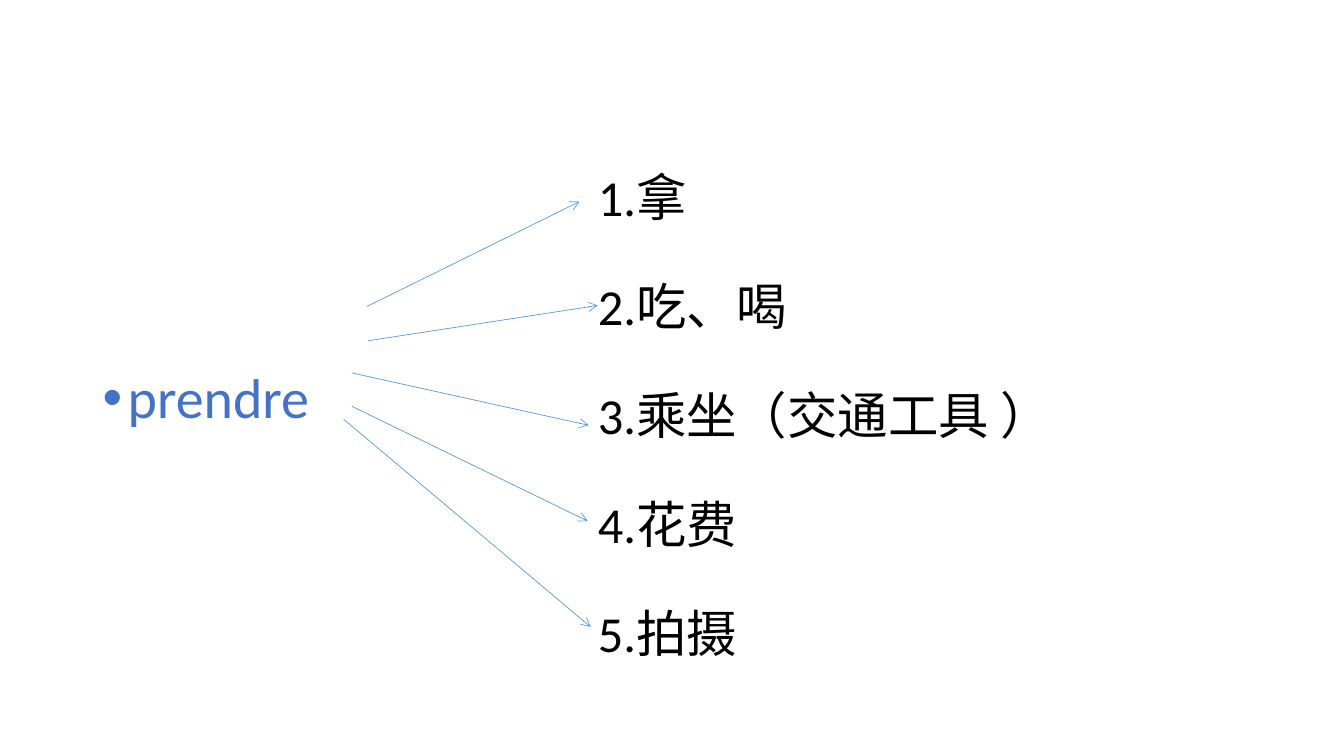
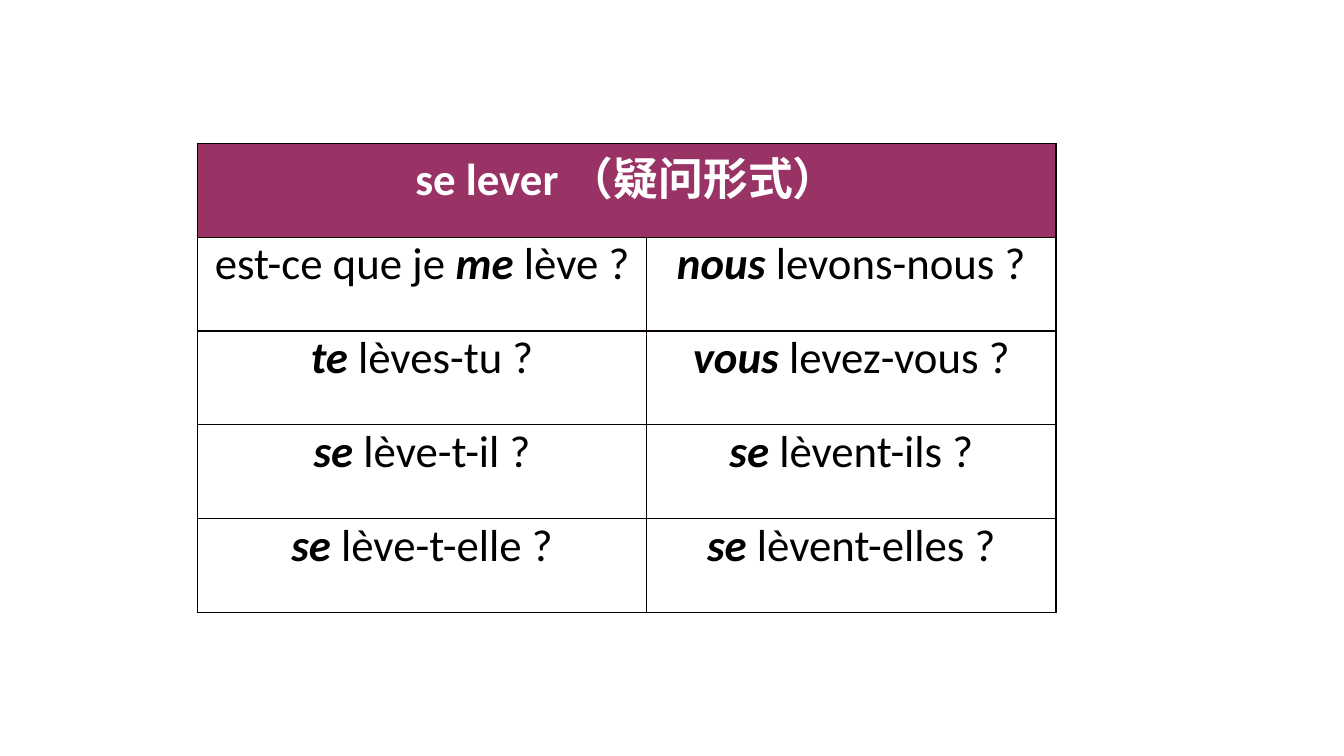
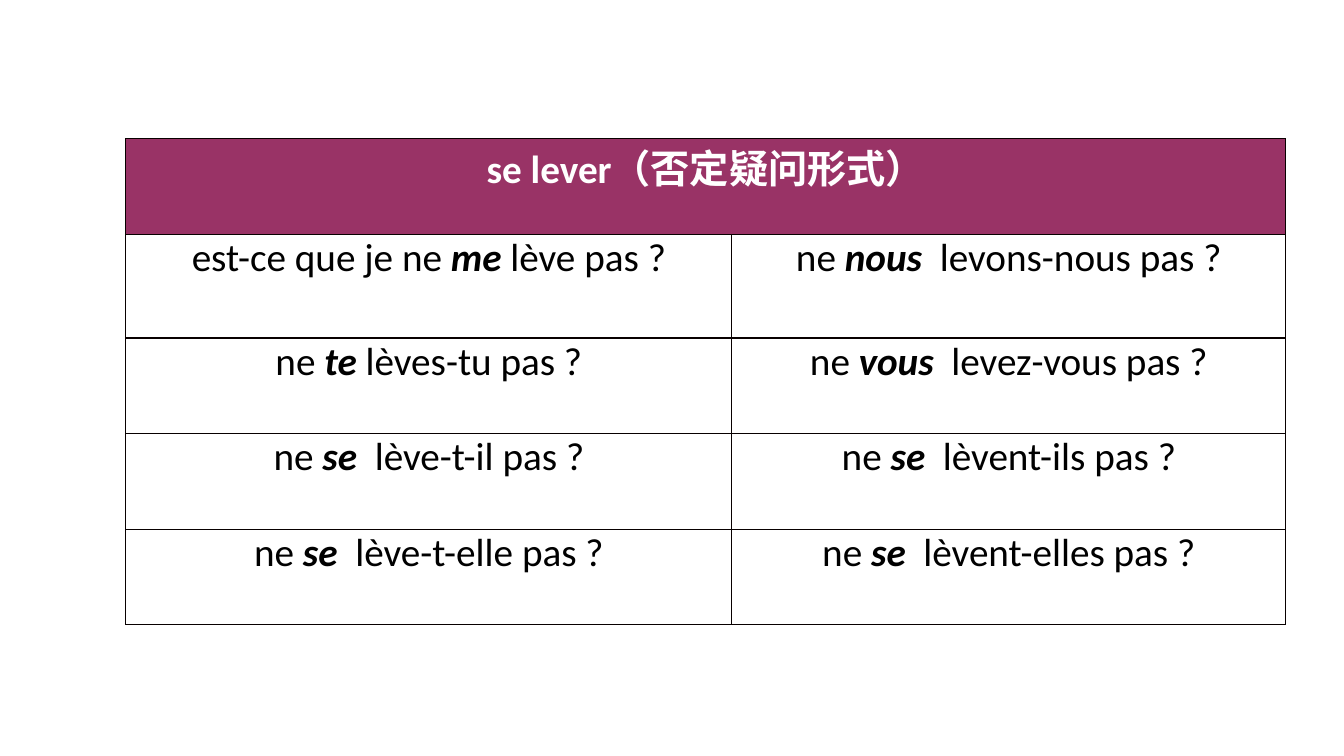
from typing import NamedTuple

from pptx import Presentation
from pptx.dml.color import RGBColor
from pptx.enum.shapes import MSO_CONNECTOR as Connector
from pptx.enum.text import MSO_ANCHOR as Anchor, PP_ALIGN as Align
from pptx.oxml import parse_xml
from pptx.oxml.ns import nsdecls
from pptx.util import Pt

# Shared look
LATIN, CHINESE = "Calibri", "Noto Sans CJK SC"
BLACK, WHITE, BLUE = "000000", "FFFFFF", "4472C4"
ARROW_BLUE, PLUM, BORDER = "5B9BD5", "993366", "080000"


class Arrow(NamedTuple):
    x1: float
    y1: float
    x2: float
    y2: float


class VerbTable(NamedTuple):
    left: float
    top: float
    columns: tuple[float, ...]
    rows: tuple[float, ...]
    size: float
    heading: tuple[str, str]
    forms: tuple[tuple[str, str], ...]  # asterisks enclose the stressed pronoun


MEANINGS = ("1.拿", "2.吃、喝", "3.乘坐（交通工具 ）", "4.花费", "5.拍摄")

ARROWS = (
    Arrow(262, 219, 414, 144),
    Arrow(263, 243.4, 427, 218.2),
    Arrow(251.3, 266.4, 420.5, 303.8),
    Arrow(251.3, 290.2, 419.8, 372.2),
    Arrow(245.5, 299.5, 421.9, 447.8),
)

TABLES = (
    VerbTable(
        141, 102.5, (321, 292.3), (67,) * 5, 32,
        ("se lever ", "（疑问形式）"),
        (
            ("est-ce que je *me* lève ?", "*nous* levons-nous ?"),
            ("*te* lèves-tu ?", "*vous* levez-vous ?"),
            ("*se* lève-t-il ?", "*se* lèvent-ils ?"),
            ("*se* lève-t-elle ?", "*se* lèvent-elles ?"),
        ),
    ),
    VerbTable(
        89.8, 99, (433, 395.5), (68.3, 74.2, 68.3, 68.3, 68.3), 28,
        ("se lever", "（否定疑问形式）"),
        (
            ("est-ce que je ne *me *lève pas ?", "ne* nous  *levons-nous pas ?"),
            ("ne* te* lèves-tu pas ?", "ne *vous  *levez-vous pas ?"),
            ("ne *se  *lève-t-il pas ?", "ne *se  *lèvent-ils pas ?"),
            ("ne* se  *lève-t-elle pas ?", "ne* se  *lèvent-elles pas ?"),
        ),
    ),
)


def colour(value: str) -> RGBColor:
    return RGBColor.from_string(value)


def add_span(para, text: str, *, size: float, color: str = BLACK,
             font: str = LATIN, bold: bool = False, italic: bool = False) -> None:
    span = para.add_run()
    span.text = text
    span.font.size, span.font.name = Pt(size), font
    span.font.bold, span.font.italic = bold, italic
    span.font.color.rgb = colour(color)
    span.font._element.append(
        parse_xml(f'<a:ea {nsdecls("a")} typeface="{CHINESE}"/>'))


def add_box(page, left: float, top: float, width: float, height: float,
            anchor=Anchor.TOP):
    box = page.shapes.add_textbox(Pt(left), Pt(top), Pt(width), Pt(height))
    frame = box.text_frame
    frame.word_wrap = True
    frame.vertical_anchor = anchor
    return frame


def add_arrow(page, arrow: Arrow) -> None:
    line = page.shapes.add_connector(
        Connector.STRAIGHT, *(Pt(value) for value in arrow))
    line.line.width = Pt(0.5)
    line.line.color.rgb = colour(ARROW_BLUE)
    line.line._get_or_add_ln().append(
        parse_xml(f'<a:tailEnd {nsdecls("a")} type="arrow"/>'))
    line._element.spPr.append(parse_xml(f'<a:effectLst {nsdecls("a")}/>'))


def format_cell(cell, fill: str) -> None:
    cell.margin_left = cell.margin_right = Pt(0)
    cell.margin_top = cell.margin_bottom = Pt(0)
    properties = cell._tc.get_or_add_tcPr()
    for side in "LRTB":
        properties.append(parse_xml(
            f'<a:ln{side} {nsdecls("a")} w="{Pt(1)}"><a:solidFill>'
            f'<a:srgbClr val="{BORDER}"/></a:solidFill></a:ln{side}>'))
    cell.fill.solid()
    cell.fill.fore_color.rgb = colour(fill)
    cell.text_frame.paragraphs[0].alignment = Align.CENTER


def add_verb_table(page, verb: VerbTable) -> None:
    table = page.shapes.add_table(
        len(verb.rows), len(verb.columns), Pt(verb.left), Pt(verb.top),
        Pt(sum(verb.columns)), Pt(sum(verb.rows))).table
    table.first_row = table.horz_banding = False
    for column, width in zip(table.columns, verb.columns):
        column.width = Pt(width)
    for row_number, height in enumerate(verb.rows):
        row = table.rows[row_number]
        row.height = Pt(height)
        for cell in row.cells:
            format_cell(cell, WHITE if row_number else PLUM)

    # Heading across both columns
    heading = table.cell(0, 0)
    heading.merge(table.cell(0, len(verb.columns) - 1))
    for text, font in zip(verb.heading, (LATIN, CHINESE)):
        add_span(heading.text_frame.paragraphs[0], text, size=verb.size,
                 color=WHITE, font=font, bold=True)

    # Verb forms
    for row_number, forms in enumerate(verb.forms, start=1):
        for column_number, form in enumerate(forms):
            para = table.cell(row_number, column_number).text_frame.paragraphs[0]
            for index, text in enumerate(form.split("*")):
                if text:
                    stressed = index % 2 == 1
                    add_span(para, text, size=verb.size,
                             bold=stressed, italic=stressed)


def add_meanings(page) -> None:
    # Numbered meanings
    frame = add_box(page, 420, 55, 399, 486, Anchor.MIDDLE)
    for index, meaning in enumerate(MEANINGS):
        para = frame.add_paragraph() if index else frame.paragraphs[0]
        para.line_spacing = Pt(39)
        para.space_before = Pt(38.8 if index else 0)
        add_span(para, meaning, size=36)

    # Verb with its bullet
    para = add_box(page, 66.2, 261, 355.7, 54).paragraphs[0]
    para.line_spacing = 0.9
    properties = para._p.get_or_add_pPr()
    properties.set("marL", str(Pt(18)))
    properties.set("indent", str(Pt(-18)))
    properties.append(parse_xml(f'<a:buFont {nsdecls("a")} typeface="Arial"/>'))
    properties.append(parse_xml(f'<a:buChar {nsdecls("a")} char="•"/>'))
    add_span(para, "prendre", size=40, color=BLUE)

    for arrow in ARROWS:
        add_arrow(page, arrow)


def main() -> None:
    deck = Presentation()
    deck.slide_width, deck.slide_height = Pt(960), Pt(540)
    blank = deck.slide_layouts[6]
    add_meanings(deck.slides.add_slide(blank))
    for verb in TABLES:
        add_verb_table(deck.slides.add_slide(blank), verb)
    deck.save("out.pptx")


if __name__ == "__main__":
    main()
